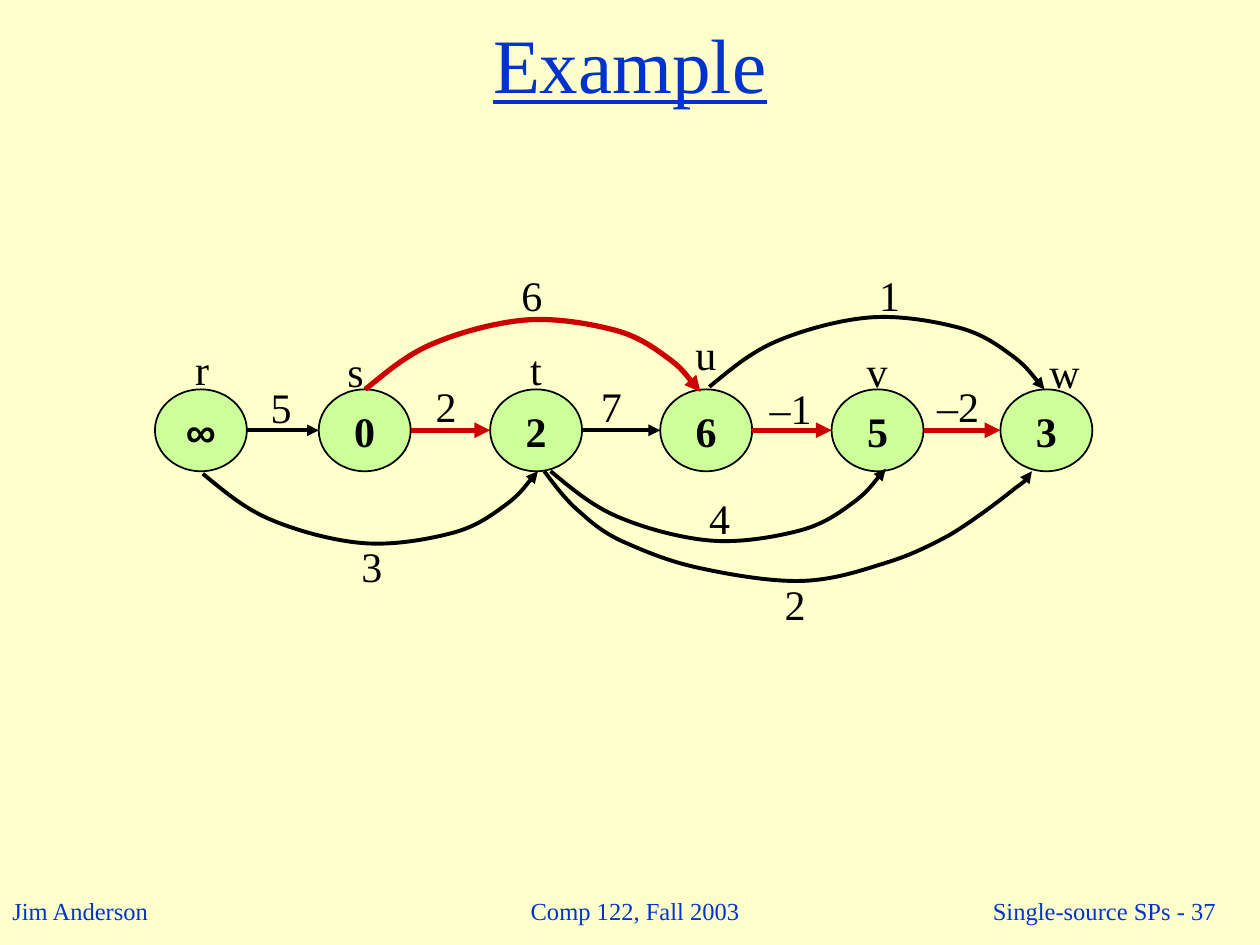
"""Shortest paths in a weighted DAG: one relaxation step."""
from dataclasses import dataclass

import pptx
import pptx.dml.color
import pptx.enum.shapes
import pptx.enum.text
import pptx.oxml
import pptx.oxml.ns
import pptx.util

ALIGN = pptx.enum.text.PP_ALIGN
ANCHOR = pptx.enum.text.MSO_ANCHOR
AUTO = pptx.enum.text.MSO_AUTO_SIZE
SHAPES = pptx.enum.shapes.MSO_SHAPE
COLUMNS, ROWS = 100, 75


@dataclass(frozen=True)
class Theme:
    """Colours, fonts, type sizes and line widths."""
    paper: str = "FFFFCC"
    blue: str = "0033CC"
    node: str = "CCFF99"
    black: str = "000000"
    red: str = "CC0000"
    serif: str = "Times New Roman"
    sans: str = "Arial"
    title: int = 44
    label: int = 24
    footer: int = 14
    outline: float = 1
    edge: float = 2.25
    path_edge: float = 3


THEME = Theme()
NODE_W, NODE_H, NODE_TOP = 7.3, 6.5, 30.9
NODES = [(12.3, "∞", THEME.sans), (25.3, "0", THEME.serif),
         (38.9, "2", THEME.serif), (52.4, "6", THEME.serif),
         (66, "5", THEME.serif), (79.4, "3", THEME.serif)]
PATH_STEPS = {1, 3, 4}
ARC = [(1.6, -1.3), (3.2, -2.7), (5.3, -3.6),
       (7.4, -4.5), (10.3, -5.3), (12.7, -5.5),
       (15.1, -5.7), (17.9, -5.2), (19.8, -4.7),
       (21.7, -4.2), (22.9, -3.3), (24, -2.5),
       (25.1, -1.7), (25.8, -0.7), (26.6, 0.2)]
LONG_ARC = [(0.9, 1.2), (1.8, 2.4), (2.9, 3.3),
            (4, 4.3), (4.9, 5), (6.5, 5.7),
            (8.1, 6.4), (10, 7.2), (12.4, 7.7),
            (14.7, 8.2), (18.1, 8.8), (20.6, 8.7),
            (23, 8.6), (25.1, 7.9), (27, 7.3),
            (29, 6.7), (30.4, 6), (32.1, 5.1),
            (33.8, 4.1), (36.2, 2.3), (37.3, 1.4),
            (38.4, 0.6), (38.6, 0.3), (38.7, 0)]
LABELS = [("r", 14.5, 26.8, 3.1), ("s", 26.6, 26.9, 3.3),
          ("t", 41.1, 26.8, 2.9), ("u", 54.2, 25.6, 3.6),
          ("v", 67.8, 26.9, 3.6), ("w", 82.3, 27, 4.4),
          ("5", 20.5, 29.8, 3.6), ("2", 33.6, 29.7, 3.6),
          ("7", 46.7, 29.7, 3.6), ("–1", 60.1, 29.9, 5.3),
          ("–2", 73.4, 29.7, 5.3), ("6", 40.4, 20.9, 3.6),
          ("1", 68.8, 20.9, 3.6), ("3", 27.7, 42.4, 3.6),
          ("2", 61.3, 45.4, 3.6), ("4", 55.3, 38.6, 3.6)]
FOOTERS = [("Jim Anderson", (0, 70.6, 12.9, 3.4), ALIGN.LEFT),
           ("Comp 122, Fall 2003", (40, 69.8, 20.8, 5), ALIGN.CENTER),
           ("Single-source SPs - 37", (87.5, 70.2, 10, 4.2), ALIGN.RIGHT)]


def grid(*cells):
    """Turn grid columns or rows into slide lengths."""
    return [pptx.util.Inches(cell / 10) for cell in cells]


def rgb(value):
    """Return a colour from its hex value."""
    return pptx.dml.color.RGBColor.from_string(value)


def write(shape, text, size, color, align=ALIGN.LEFT, anchor=ANCHOR.TOP,
          wrap=False, font=THEME.serif, **style):
    """Put one formatted run of text in a shape."""
    tf = shape.text_frame
    frame = dict(word_wrap=wrap, vertical_anchor=anchor, auto_size=AUTO.NONE)
    for name, value in frame.items():
        setattr(tf, name, value)
    p = tf.paragraphs[0]
    p.alignment = align
    r = p.add_run()
    r.text = text
    look = dict(name=font, size=pptx.util.Pt(size), **style)
    for name, value in look.items():
        setattr(r.font, name, value)
    r.font.color.rgb = rgb(color)


def add_title(s, text):
    """Format the title placeholder across the top of the slide."""
    sp = s.shapes.title
    sp.left, sp.top, sp.width, sp.height = grid(0, 0, COLUMNS, 10)
    write(sp, text, THEME.title, THEME.blue, ALIGN.CENTER, ANCHOR.MIDDLE,
          wrap=True, underline=True)


def add_label(s, text, box, size=THEME.label, color=THEME.black, **layout):
    """Add a text box on the grid."""
    write(s.shapes.add_textbox(*grid(*box)), text, size, color, **layout)


def add_node(s, left, text, font):
    """Add a vertex with its distance estimate."""
    sp = s.shapes.add_shape(SHAPES.OVAL,
                            *grid(left, NODE_TOP, NODE_W, NODE_H))
    sp.shadow.inherit = False
    sp.fill.solid()
    sp.fill.fore_color.rgb = rgb(THEME.node)
    sp.line.color.rgb = rgb(THEME.black)
    sp.line.width = pptx.util.Pt(THEME.outline)
    write(sp, text, THEME.label, THEME.black, ALIGN.CENTER, ANCHOR.MIDDLE,
          font=font, bold=True)


def style_edge(sp, on_path):
    """Give an edge its colour, width and arrowhead."""
    sp.line.color.rgb = rgb(THEME.red if on_path else THEME.black)
    sp.line.width = pptx.util.Pt(THEME.path_edge if on_path else THEME.edge)
    ln = sp.line._get_or_add_ln()
    ln.append(pptx.oxml.parse_xml(
        f'<a:tailEnd {pptx.oxml.ns.nsdecls("a")} type="triangle"/>'))


def add_step(s, left, right, on_path):
    """Add a straight edge between neighbouring vertices."""
    y = NODE_TOP + NODE_H / 2
    sp = s.shapes.add_connector(pptx.enum.shapes.MSO_CONNECTOR.STRAIGHT,
                                *grid(left + NODE_W, y, right, y))
    sp._element.spPr.append(pptx.oxml.parse_xml(
        f'<a:effectLst {pptx.oxml.ns.nsdecls("a")}/>'))
    style_edge(sp, on_path)


def add_arc(s, x, y, offsets, flip=1, on_path=False):
    """Add a curved edge from cubic Bézier offsets."""
    points = [grid(x + dx, y + flip * dy) for dx, dy in offsets]
    builder = s.shapes.build_freeform(*grid(x, y))
    builder.add_line_segments(points, close=False)
    sp = builder.convert_to_shape()
    lines = sp._element.findall(".//" + pptx.oxml.ns.qn("a:lnTo"))
    for i in range(0, len(lines), 3):
        curve = pptx.oxml.parse_xml(
            f'<a:cubicBezTo {pptx.oxml.ns.nsdecls("a")}/>')
        lines[i].addprevious(curve)
        for line in lines[i:i + 3]:
            curve.append(line[0])
            line.getparent().remove(line)
    sp.shadow.inherit = False
    sp.fill.background()
    style_edge(sp, on_path)


def main():
    """Build and save the slide."""
    prs = pptx.Presentation()
    prs.slide_width, prs.slide_height = grid(COLUMNS, ROWS)
    s = prs.slides.add_slide(prs.slide_layouts[5])
    s.background.fill.solid()
    s.background.fill.fore_color.rgb = rgb(THEME.paper)
    for text, box, align in FOOTERS:
        anchor = ANCHOR.TOP if align == ALIGN.LEFT else ANCHOR.MIDDLE
        add_label(s, text, box, THEME.footer, THEME.blue,
                  align=align, anchor=anchor)
    add_title(s, "Example")
    for node in NODES:
        add_node(s, *node)
    for i, (start, end) in enumerate(zip(NODES, NODES[1:])):
        add_step(s, start[0], end[0], i in PATH_STEPS)
    add_arc(s, 29, 30.9, ARC, on_path=True)
    add_arc(s, 56.3, 30.7, ARC)
    add_arc(s, 16.1, 37.6, ARC, flip=-1)
    add_arc(s, 43.7, 37.4, ARC, flip=-1)
    add_arc(s, 43.2, 37.4, LONG_ARC)
    for text, left, top, width in LABELS:
        add_label(s, text, (left, top, width, 5))
    prs.save("out.pptx")


if __name__ == "__main__":
    main()
